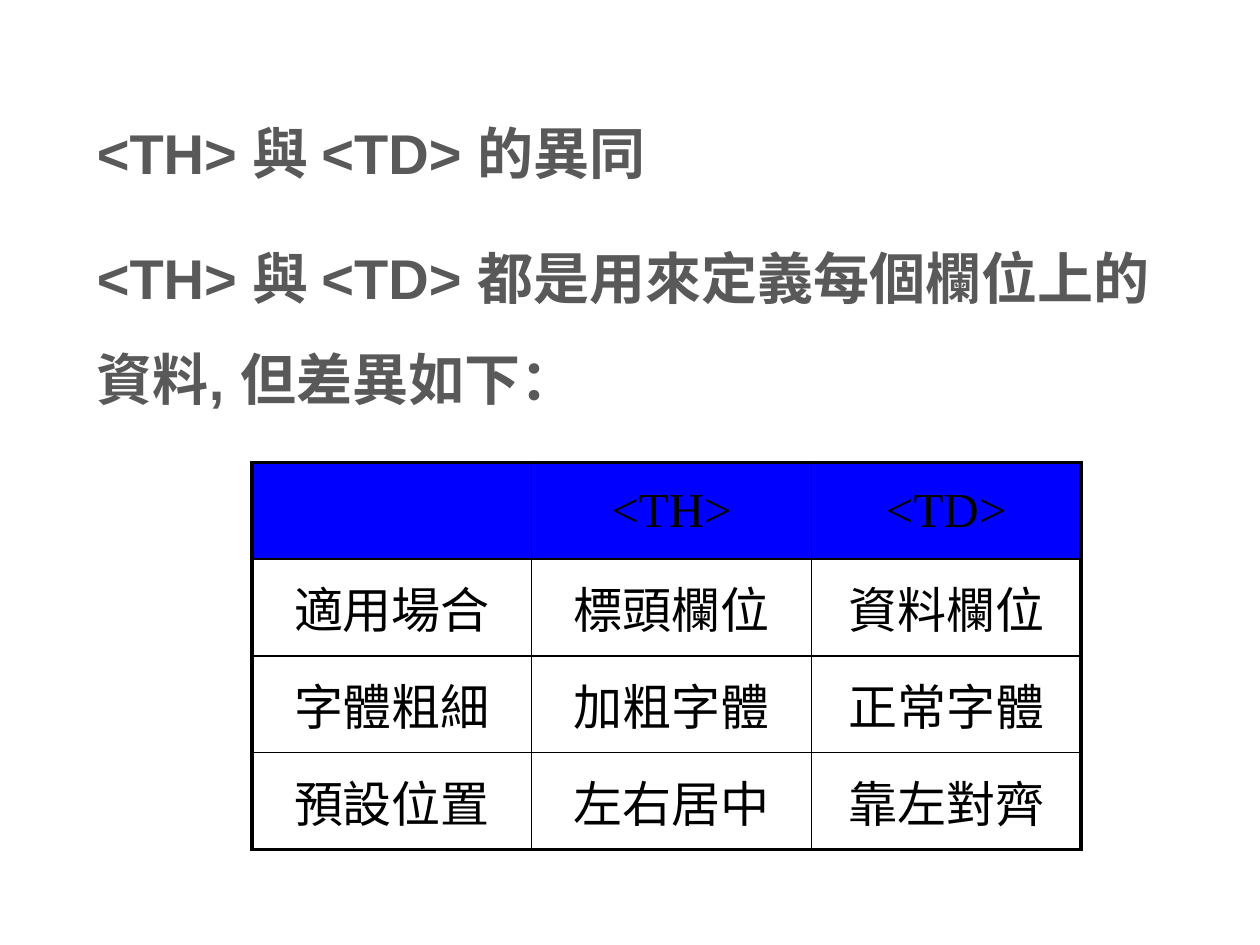
from dataclasses import dataclass

from lxml import etree
from pptx import Presentation
from pptx.dml.color import RGBColor
from pptx.enum.text import MSO_ANCHOR, PP_ALIGN
from pptx.oxml.ns import qn
from pptx.util import Inches, Pt

TOP, MIDDLE = MSO_ANCHOR.TOP, MSO_ANCHOR.MIDDLE
CENTER = PP_ALIGN.CENTER


@dataclass(frozen=True)
class Theme:
    heading_font: str = "Arial"
    table_font: str = "Times New Roman"
    heading_color: str = "595959"
    ink: str = "000000"
    header_fill: str = "0000FF"
    paper: str = "FFFFFF"
    heading_size: int = 32
    table_size: int = 28
    outer_line: float = 2.25
    inner_line: float = 1


class SlideBuilder:
    def __init__(self, slide, theme, unit=0.1):
        self.slide = slide
        self.theme = theme
        self.unit = unit

    def grid(self, *lengths):
        return [Inches(length * self.unit) for length in lengths]

    def style(self, paragraph, font, size, color, bold=False):
        for run in paragraph.runs:
            run.font.name = font
            run.font.size = Pt(size)
            run.font.bold = bold
            run.font.color.rgb = RGBColor.from_string(color)

    def heading(self, text, place, line_spacing, anchor=TOP):
        frame = self.slide.shapes.add_textbox(*self.grid(*place)).text_frame
        frame.word_wrap = True
        frame.vertical_anchor = anchor
        frame.text = text
        paragraph = frame.paragraphs[0]
        paragraph.line_spacing = line_spacing
        theme = self.theme
        self.style(paragraph, theme.heading_font, theme.heading_size, theme.heading_color, True)

    def border(self, cell, side, width):
        properties = cell._tc.get_or_add_tcPr()
        line = etree.SubElement(properties, qn(f"a:ln{side}"), w=str(Pt(width)))
        fill = etree.SubElement(line, qn("a:solidFill"))
        etree.SubElement(fill, qn("a:srgbClr"), val=self.theme.ink)

    def cell(self, cell, text, fill, outer_sides):
        theme = self.theme
        for side in "LRTB":
            self.border(cell, side, theme.outer_line if side in outer_sides else theme.inner_line)
        cell.fill.solid()
        cell.fill.fore_color.rgb = RGBColor.from_string(fill)
        cell.vertical_anchor = MIDDLE
        cell.text_frame.text = text
        paragraph = cell.text_frame.paragraphs[0]
        paragraph.alignment = CENTER
        paragraph.space_before = Pt(theme.table_size * 0.2)
        self.style(paragraph, theme.table_font, theme.table_size, theme.ink)

    def table(self, rows, left, top, column_widths, row_height):
        last_row, last_column = len(rows) - 1, len(column_widths) - 1
        place = self.grid(left, top, sum(column_widths), row_height * len(rows))
        table = self.slide.shapes.add_table(len(rows), len(column_widths), *place).table
        for column, width in zip(table.columns, self.grid(*column_widths)):
            column.width = width
        for r, texts in enumerate(rows):
            table.rows[r].height = self.grid(row_height)[0]
            fill = self.theme.paper if r else self.theme.header_fill
            for c, text in enumerate(texts):
                edges = {"L": c == 0, "R": c == last_column, "T": r == 0, "B": r == last_row}
                outer_sides = [side for side, is_outer in edges.items() if is_outer]
                self.cell(table.cell(r, c), text, fill, outer_sides)


COMPARISON = [
    ["", "<TH>", "<TD>"],
    ["適用場合", "標頭欄位", "資料欄位"],
    ["字體粗細", "加粗字體", "正常字體"],
    ["預設位置", "左右居中", "靠左對齊"],
]

deck = Presentation()
deck.slide_width, deck.slide_height = Inches(10), Inches(7.5)
builder = SlideBuilder(deck.slides.add_slide(deck.slide_layouts[6]), Theme())
builder.heading("<TH> 與 <TD> 的異同", (6.7, 9.2, 89.2, 6.3), Pt(34), MIDDLE)
builder.heading(
    "<TH> 與 <TD> 都是用來定義每個欄位上的資料, 但差異如下：", (6.7, 16.2, 89.2, 49.5), 1.5
)
builder.table(COMPARISON, 20, 36.7, (22.2, 22.2, 21.4), 7.68)
deck.save("out.pptx")
